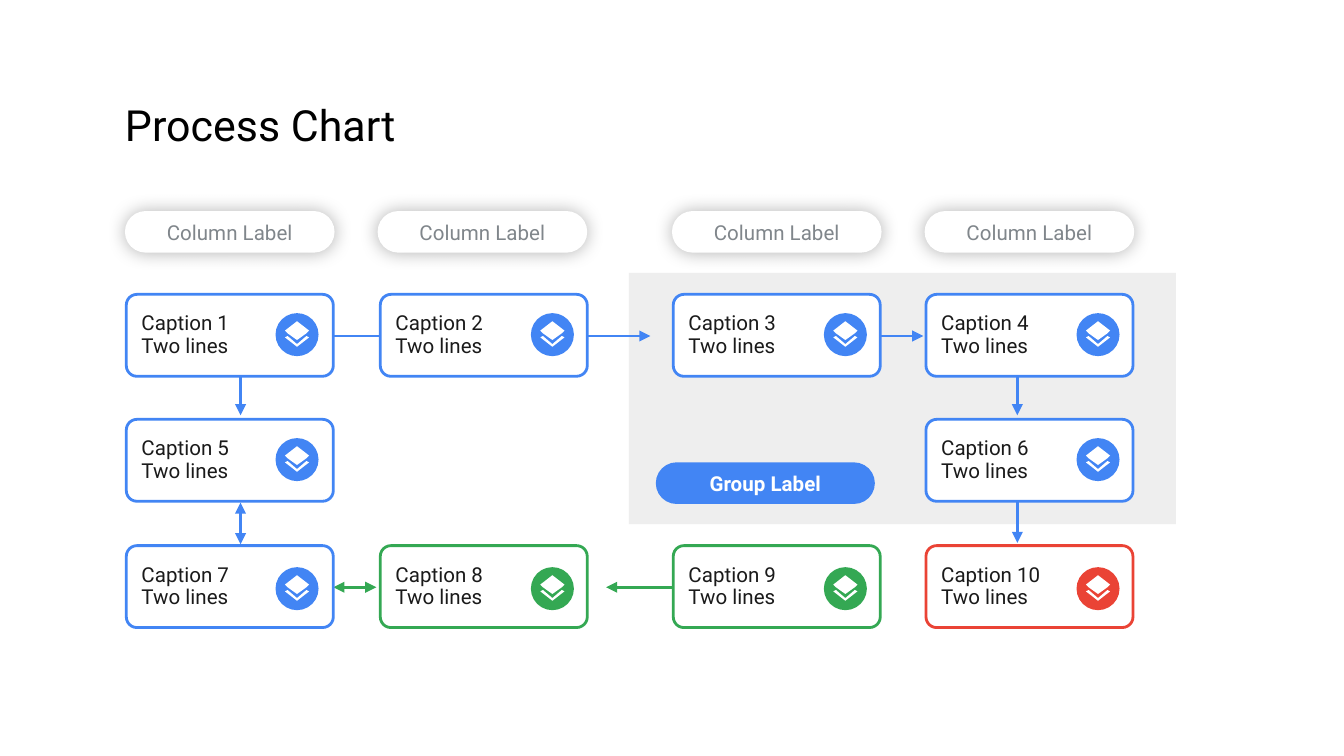
from dataclasses import dataclass

from lxml.etree import SubElement
from pptx import Presentation
from pptx.dml.color import RGBColor
from pptx.enum.shapes import MSO_CONNECTOR as Connector, MSO_SHAPE as Shape
from pptx.enum.text import MSO_ANCHOR as Anchor, MSO_AUTO_SIZE as AutoSize, PP_ALIGN as Align
from pptx.oxml.ns import qn
from pptx.util import Inches, Pt


@dataclass(frozen=True)
class Theme:
    font: str = "Roboto"
    title_size: float = 23
    label_size: float = 11
    line_width: float = 1.5
    black: str = "000000"
    white: str = "FFFFFF"
    ink: str = "1A1A1A"
    gray: str = "80868B"
    panel: str = "EEEEEE"
    blue: str = "4285F4"
    green: str = "34A853"
    red: str = "EA4335"


THEME = Theme()


@dataclass(frozen=True)
class Step:
    number: int
    column: int
    row: int
    color: str = THEME.blue


@dataclass(frozen=True)
class Arrow:
    start: tuple[float, float]
    end: tuple[float, float]
    color: str = THEME.blue
    both_ends: bool = False


SLIDE_WIDTH = 10
SLIDE_HEIGHT = SLIDE_WIDTH * 9 / 16
COLUMNS = (0.94, 2.83, 5.01, 6.89)
ROWS = (2.19, 3.12, 4.06)
BOX_WIDTH, BOX_HEIGHT = 1.54, 0.61
PILL_COLUMNS = (0.93, 2.81, 5, 6.88)
PILL_WIDTH, PILL_HEIGHT = 1.56, 0.31
ICON_COLUMNS = (2.05, 3.95, 6.13, 8.01)
ICON_ROWS = (2.33, 3.26, 4.22)
ICON_SIZE = 0.32
ICON_DIAMOND = ((16, 20), (9, 15), (7, 13), (16, 6), (25, 13), (23, 15))
ICON_CHEVRON = ((16, 23), (23, 17), (25, 18), (16, 25), (7, 18), (9, 17))

STEPS = (
    Step(1, 0, 0),
    Step(2, 1, 0),
    Step(3, 2, 0),
    Step(4, 3, 0),
    Step(5, 0, 1),
    Step(6, 3, 1),
    Step(7, 0, 2),
    Step(8, 1, 2, THEME.green),
    Step(9, 2, 2, THEME.green),
    Step(10, 3, 2, THEME.red),
)
ARROWS = (
    Arrow((1.79, 2.31), (1.79, 3.09)),
    Arrow((7.57, 2.31), (7.57, 3.09)),
    Arrow((7.57, 3.27), (7.57, 4.04)),
    Arrow((2.48, 2.5), (3.02, 2.5)),
    Arrow((4.3, 2.5), (4.84, 2.5)),
    Arrow((6.33, 2.5), (6.87, 2.5)),
    Arrow((1.79, 4.05), (1.79, 3.74), both_ends=True),
    Arrow((5.05, 4.37), (4.51, 4.37), THEME.green),
    Arrow((2.48, 4.37), (2.8, 4.37), THEME.green, both_ends=True),
)


def rgb(color: str) -> RGBColor:
    return RGBColor.from_string(color)


def paint(shape, fill: str, line: str | None = None) -> None:
    shape.shadow.inherit = False
    shape.fill.solid()
    shape.fill.fore_color.rgb = rgb(fill)
    if line:
        shape.line.color.rgb = rgb(line)
        shape.line.width = Pt(THEME.line_width)
    else:
        shape.line.fill.background()


def add_block(slide, kind: Shape, left: float, top: float, width: float, height: float,
              fill: str, line: str | None = None, rounding: float | None = None):
    shape = slide.shapes.add_shape(kind, Inches(left), Inches(top), Inches(width), Inches(height))
    if rounding is not None:
        shape.adjustments[0] = rounding
    paint(shape, fill, line)
    return shape


def write(shape, text: str, size: float, color: str, align: Align = Align.LEFT,
          anchor: Anchor = Anchor.MIDDLE, margin: float = 0, bold: bool = False):
    frame = shape.text_frame
    frame.word_wrap = True
    frame.auto_size = AutoSize.NONE
    frame.vertical_anchor = anchor
    frame.margin_left = frame.margin_right = Inches(margin)
    frame.margin_top = frame.margin_bottom = Inches(margin)
    paragraph = frame.paragraphs[0]
    paragraph.text = text
    paragraph.alignment = align
    font = paragraph.font
    font.name, font.size, font.bold = THEME.font, Pt(size), bold
    font.color.rgb = rgb(color)
    return paragraph


def add_shadow(shape) -> None:
    effects = shape._element.spPr.find(qn("a:effectLst"))
    shadow = SubElement(effects, qn("a:outerShdw"), blurRad=str(Pt(10)), dist="0", dir="0",
                        algn="ctr", rotWithShape="0")
    color = SubElement(shadow, qn("a:srgbClr"), val=THEME.black)
    SubElement(color, qn("a:alpha"), val="29000")


def add_pill(slide, text: str, left: float, top: float, width: float,
             fill: str, color: str, bold: bool = False):
    pill = add_block(slide, Shape.ROUNDED_RECTANGLE, left, top, width, PILL_HEIGHT, fill, rounding=0.5)
    write(pill, text, THEME.label_size, color, Align.CENTER, bold=bold)
    return pill


def add_arrow(slide, arrow: Arrow) -> None:
    connector = slide.shapes.add_connector(
        Connector.STRAIGHT, *(Inches(value) for value in arrow.start + arrow.end))
    connector.line.color.rgb = rgb(arrow.color)
    connector.line.width = Pt(THEME.line_width)
    line = connector.line._get_or_add_ln()
    if arrow.both_ends:
        SubElement(line, qn("a:headEnd"), type="triangle")
    SubElement(line, qn("a:tailEnd"), type="triangle")
    SubElement(connector._element.spPr, qn("a:effectLst"))


def add_layers_icon(slide, left: float, top: float, color: str) -> None:
    add_block(slide, Shape.OVAL, left, top, ICON_SIZE, ICON_SIZE, color)
    builder = slide.shapes.build_freeform(*ICON_CHEVRON[0], scale=Inches(0.01))
    builder.add_line_segments(ICON_CHEVRON[1:], close=True)
    builder.move_to(*ICON_DIAMOND[0])
    builder.add_line_segments(ICON_DIAMOND[1:], close=True)
    paint(builder.convert_to_shape(Inches(left), Inches(top)), THEME.white)


def add_step(slide, step: Step) -> None:
    box = add_block(slide, Shape.ROUNDED_RECTANGLE, COLUMNS[step.column], ROWS[step.row],
                    BOX_WIDTH, BOX_HEIGHT, THEME.white, step.color, rounding=0.13)
    caption = write(box, f"Caption {step.number}\vTwo lines", THEME.label_size, THEME.ink, margin=0.09)
    caption.line_spacing = 0.9
    add_layers_icon(slide, ICON_COLUMNS[step.column], ICON_ROWS[step.row], step.color)


def main() -> None:
    presentation = Presentation()
    presentation.slide_width, presentation.slide_height = Inches(SLIDE_WIDTH), Inches(SLIDE_HEIGHT)
    slide = presentation.slides.add_slide(presentation.slide_layouts[5])

    title = slide.shapes.title
    title.left, title.top, title.width, title.height = (
        Inches(value) for value in (0.93, 0.72, 4.16, 0.4))
    write(title, "Process Chart", THEME.title_size, THEME.black, anchor=Anchor.BOTTOM)

    add_block(slide, Shape.ROUNDED_RECTANGLE, 4.68, 2.03, 4.07, 1.87, THEME.panel, rounding=0)
    for arrow in ARROWS:
        add_arrow(slide, arrow)
    for step in STEPS:
        add_step(slide, step)
    for left in PILL_COLUMNS:
        add_shadow(add_pill(slide, "Column Label", left, 1.57, PILL_WIDTH, THEME.white, THEME.gray))
    add_pill(slide, "Group Label", 4.88, 3.44, 1.63, THEME.blue, THEME.white, bold=True)

    presentation.save("out.pptx")


if __name__ == "__main__":
    main()
